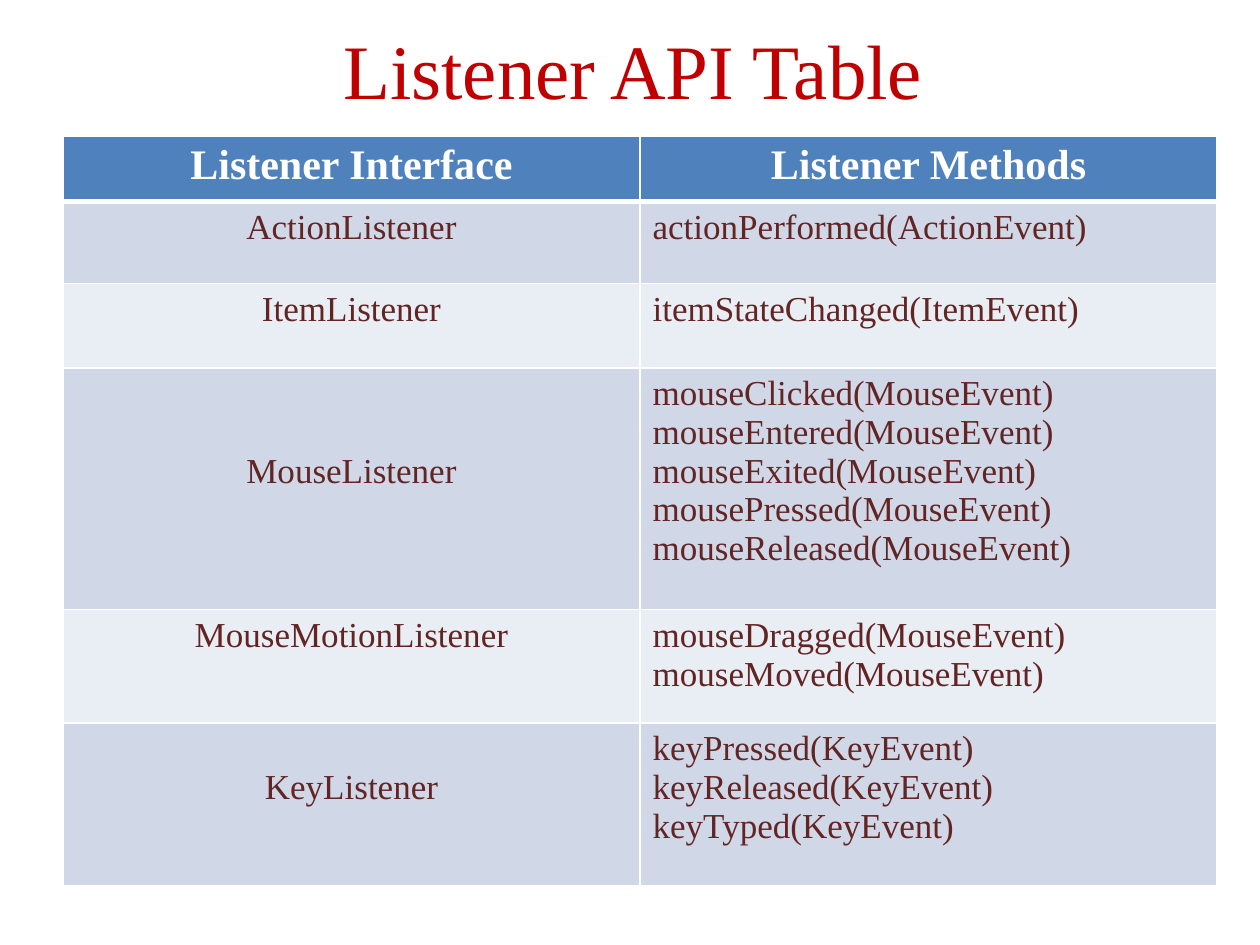
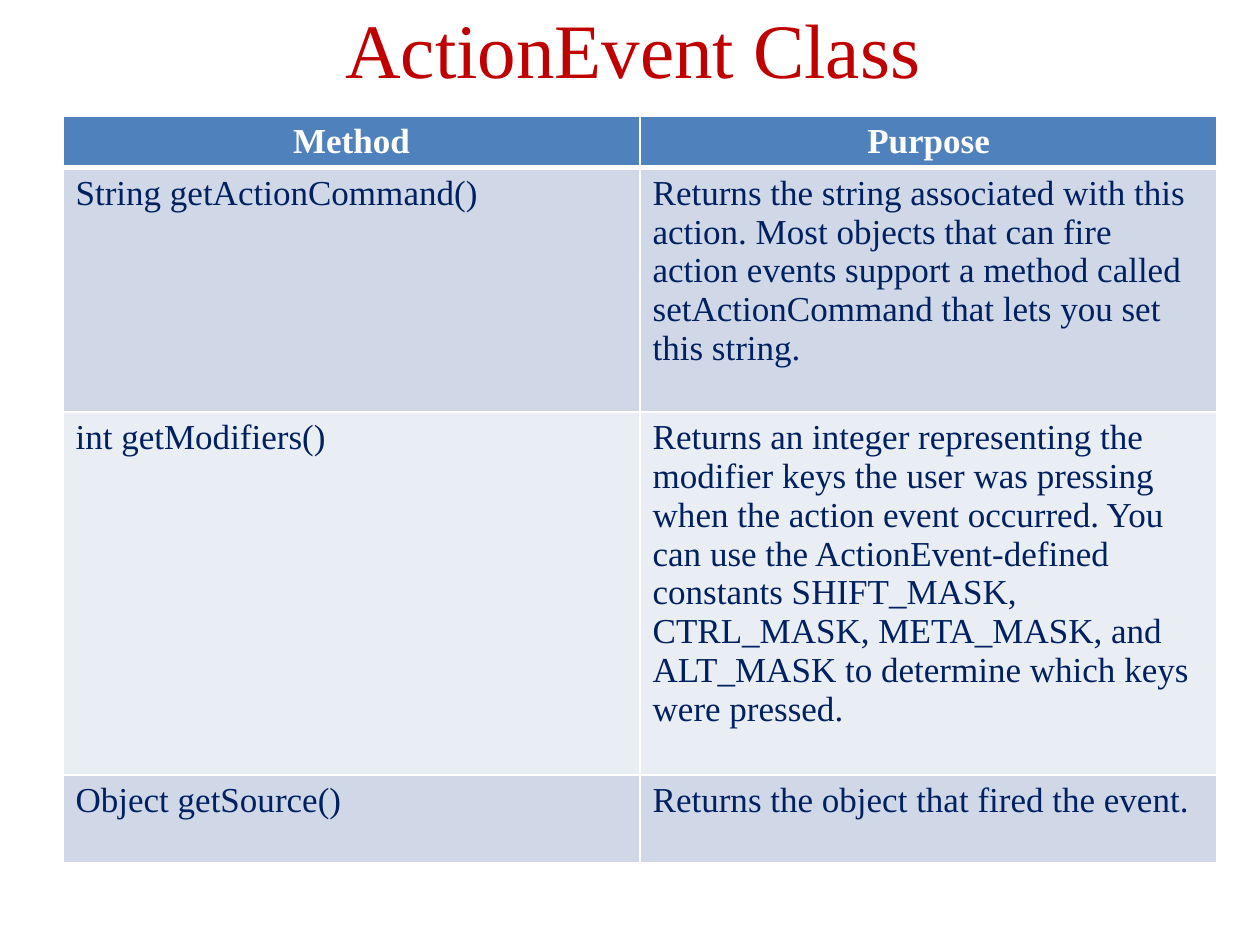
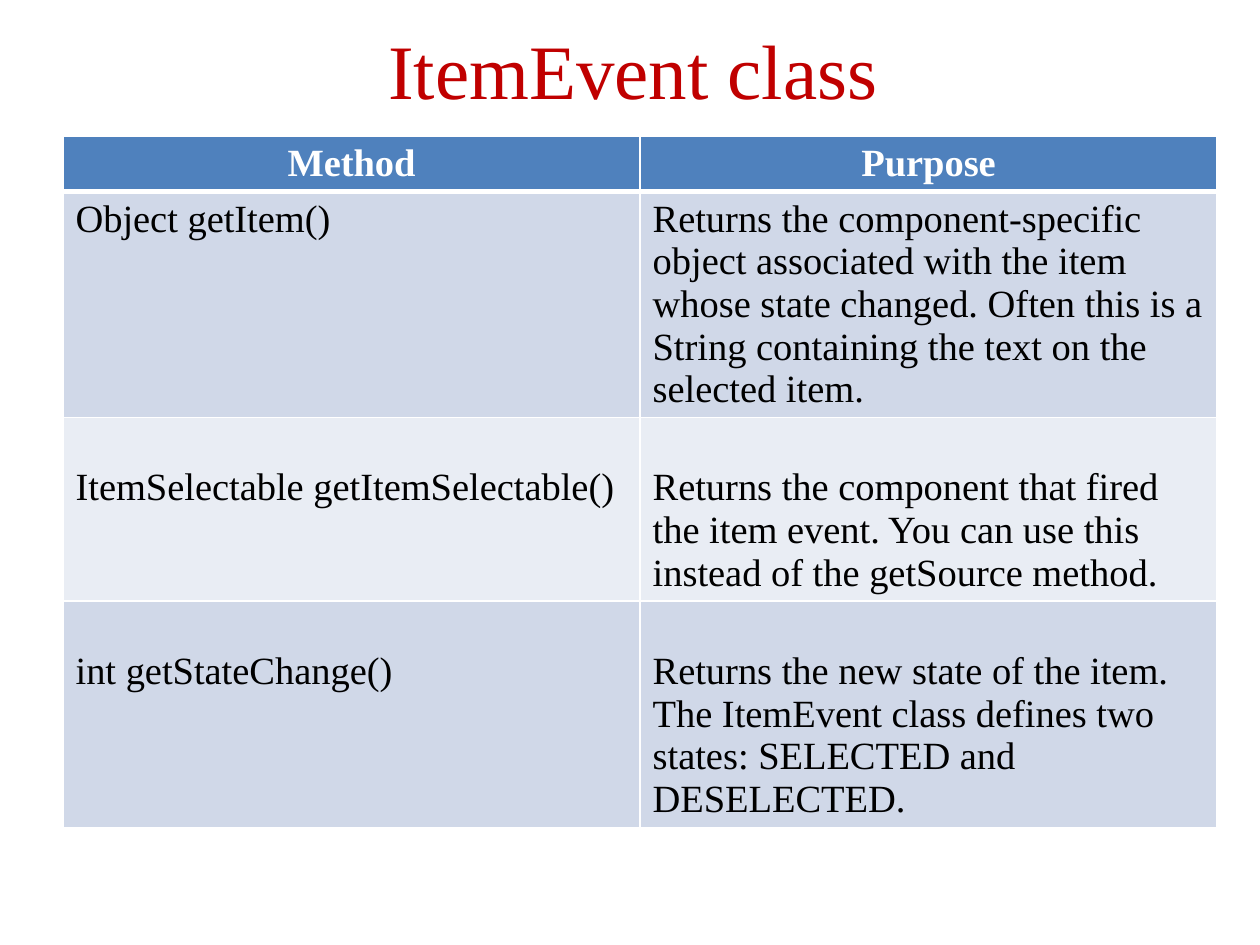
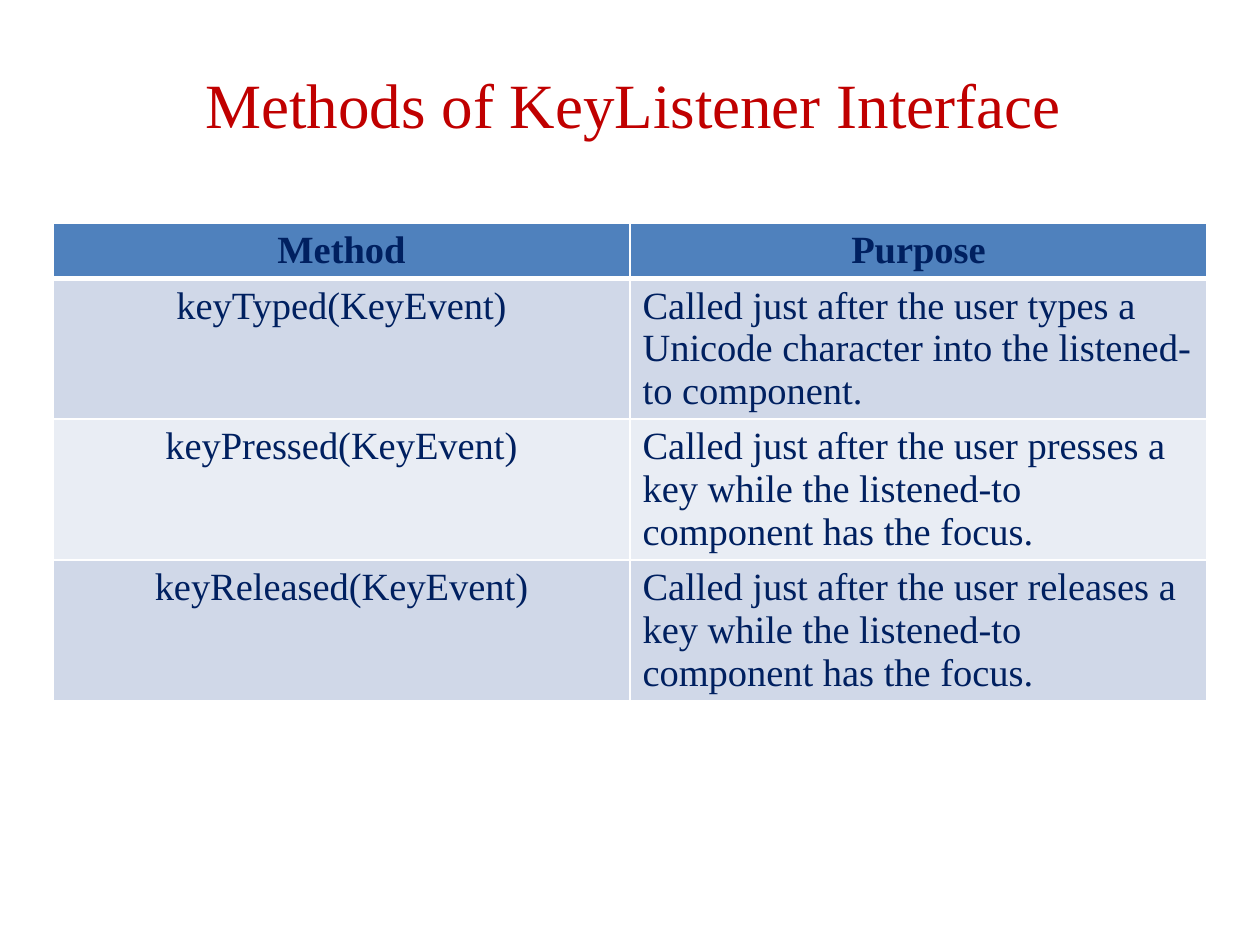
from lxml.etree import SubElement
from pptx import Presentation
from pptx.dml.color import RGBColor
from pptx.enum.text import MSO_ANCHOR, PP_ALIGN
from pptx.oxml.ns import qn
from pptx.util import Inches, Pt

FONT = "Times New Roman"
TITLE_COLOR, HEADER_FILL, BORDER = "C00000", "4F81BD", "FFFFFF"
BANDS = ("D0D8E8", "E9EDF4")
COLUMN_WIDTH = 4.58
CELL_MARGIN = 0.05
LINE_PITCH = 1.11  # line height as a multiple of the text size

# lowered: body row -> lines of space above the text, per column
SLIDES = [
    dict(
        title="Listener API Table", title_top=0, title_size=44,
        table_at=(0.5, 1.08), row_heights=(0.52, 0.65, 0.67, 1.92, 0.9, 1.29),
        header_size=24, header_color="FFFFFF", body_size=20, body_color="632523",
        first_column=PP_ALIGN.CENTER, lowered={3: (2, 0), 5: (1, 0)},
        rows=[
            ("Listener Interface", "Listener Methods"),
            ("ActionListener", "actionPerformed(ActionEvent)"),
            ("ItemListener", "itemStateChanged(ItemEvent)"),
            ("MouseListener",
             "mouseClicked(MouseEvent)\nmouseEntered(MouseEvent)\nmouseExited(MouseEvent)\n"
             "mousePressed(MouseEvent)\nmouseReleased(MouseEvent)"),
            ("MouseMotionListener", "mouseDragged(MouseEvent)\nmouseMoved(MouseEvent)"),
            ("KeyListener", "keyPressed(KeyEvent)\nkeyReleased(KeyEvent)\nkeyTyped(KeyEvent)"),
        ],
    ),
    dict(
        title="ActionEvent Class", title_top=-0.17, title_size=44,
        table_at=(0.5, 0.92), row_heights=(0.41, 1.94, 2.88, 0.7),
        header_size=20, header_color="FFFFFF", body_size=20, body_color="002060",
        first_column=PP_ALIGN.LEFT, lowered={},
        rows=[
            ("Method", "Purpose"),
            ("String getActionCommand()",
             "Returns the string associated with this action. Most objects that can fire "
             "action events support a method called setActionCommand that lets you set "
             "this string."),
            ("int getModifiers()",
             "Returns an integer representing the modifier keys the user was pressing when "
             "the action event occurred. You can use the ActionEvent-defined constants "
             "SHIFT_MASK, CTRL_MASK, META_MASK, and ALT_MASK to determine which keys were "
             "pressed."),
            ("Object getSource()", "Returns the object that fired the event."),
        ],
    ),
    dict(
        title="ItemEvent class", title_top=0, title_size=44,
        table_at=(0.5, 1.08), row_heights=(0.43, 1.79, 1.45, 1.79),
        header_size=22, header_color="FFFFFF", body_size=22, body_color="000000",
        first_column=PP_ALIGN.LEFT, lowered={2: (1, 1), 3: (1, 1)},
        rows=[
            ("Method", "Purpose"),
            ("Object getItem()",
             "Returns the component-specific object associated with the item whose state "
             "changed. Often this is a String containing the text on the selected item."),
            ("ItemSelectable getItemSelectable()",
             "Returns the component that fired the item event. You can use this instead of "
             "the getSource method."),
            ("int getStateChange()",
             "Returns the new state of the item. The ItemEvent class defines two states: "
             "SELECTED and DESELECTED."),
        ],
    ),
    dict(
        title="Methods of KeyListener Interface", title_top=0.27, title_size=36,
        table_at=(0.42, 1.77), row_heights=(0.43, 1.11, 1.11, 1.11),
        header_size=22, header_color="002060", body_size=22, body_color="002060",
        first_column=PP_ALIGN.CENTER, lowered={},
        rows=[
            ("Method", "Purpose"),
            ("keyTyped(KeyEvent)",
             "Called just after the user types a Unicode character into the listened-to "
             "component."),
            ("keyPressed(KeyEvent)",
             "Called just after the user presses a key while the listened-to component has "
             "the focus."),
            ("keyReleased(KeyEvent)",
             "Called just after the user releases a key while the listened-to component has "
             "the focus."),
        ],
    ),
]


def rgb(color):
    return RGBColor.from_string(color)


def write(frame, text, size, color, align, bold=False):
    """Fill the frame's first paragraph, one run per line."""
    paragraph = frame.paragraphs[0]
    paragraph.alignment = align
    paragraph.line_spacing = Pt(size * LINE_PITCH)
    for number, line in enumerate(text.split("\n")):
        if number:
            paragraph.add_line_break()
        run = paragraph.add_run()
        run.text = line
        run.font.name, run.font.size, run.font.bold = FONT, Pt(size), bold
        run.font.color.rgb = rgb(color)


def add_borders(cell, top, bottom):
    """Draw the cell's four borders; call before the fill is set."""
    properties = cell._tc.get_or_add_tcPr()
    for side, width in (("L", 1), ("R", 1), ("T", top), ("B", bottom)):
        line = SubElement(properties, qn(f"a:ln{side}"), w=str(Pt(width)))
        SubElement(SubElement(line, qn("a:solidFill")), qn("a:srgbClr"), val=BORDER)


def add_title(slide, content):
    box = slide.shapes.add_textbox(
        Inches(0.55), Inches(content["title_top"]), Inches(8.95), Inches(1.15))
    frame = box.text_frame
    frame.word_wrap = True
    frame.vertical_anchor = MSO_ANCHOR.MIDDLE
    write(frame, content["title"], content["title_size"], TITLE_COLOR, PP_ALIGN.CENTER)


def add_method_table(slide, content):
    rows, heights = content["rows"], content["row_heights"]
    left, top = content["table_at"]
    table = slide.shapes.add_table(
        len(rows), 2, Inches(left), Inches(top),
        Inches(2 * COLUMN_WIDTH), Inches(sum(heights))).table
    for column in table.columns:
        column.width = Inches(COLUMN_WIDTH)
    for r, (texts, height) in enumerate(zip(rows, heights)):
        table.rows[r].height = Inches(height)
        is_header = r == 0
        part = "header" if is_header else "body"
        size, color = content[f"{part}_size"], content[f"{part}_color"]
        aligns = (PP_ALIGN.CENTER,) * 2 if is_header else (content["first_column"], PP_ALIGN.LEFT)
        blank_lines = content["lowered"].get(r, (0, 0))
        for c, text in enumerate(texts):
            cell = table.cell(r, c)
            add_borders(cell, top=3 if r == 1 else 1, bottom=3 if is_header else 1)
            cell.fill.solid()
            cell.fill.fore_color.rgb = rgb(HEADER_FILL if is_header else BANDS[(r - 1) % 2])
            cell.margin_top = Inches(CELL_MARGIN) + Pt(blank_lines[c] * size * LINE_PITCH)
            cell.margin_bottom = Inches(CELL_MARGIN)
            write(cell.text_frame, text, size, color, aligns[c], is_header)


def main():
    deck = Presentation()
    deck.slide_width, deck.slide_height = Inches(10), Inches(7.5)
    for content in SLIDES:
        slide = deck.slides.add_slide(deck.slide_layouts[6])
        add_title(slide, content)
        add_method_table(slide, content)
    deck.save("out.pptx")


if __name__ == "__main__":
    main()
